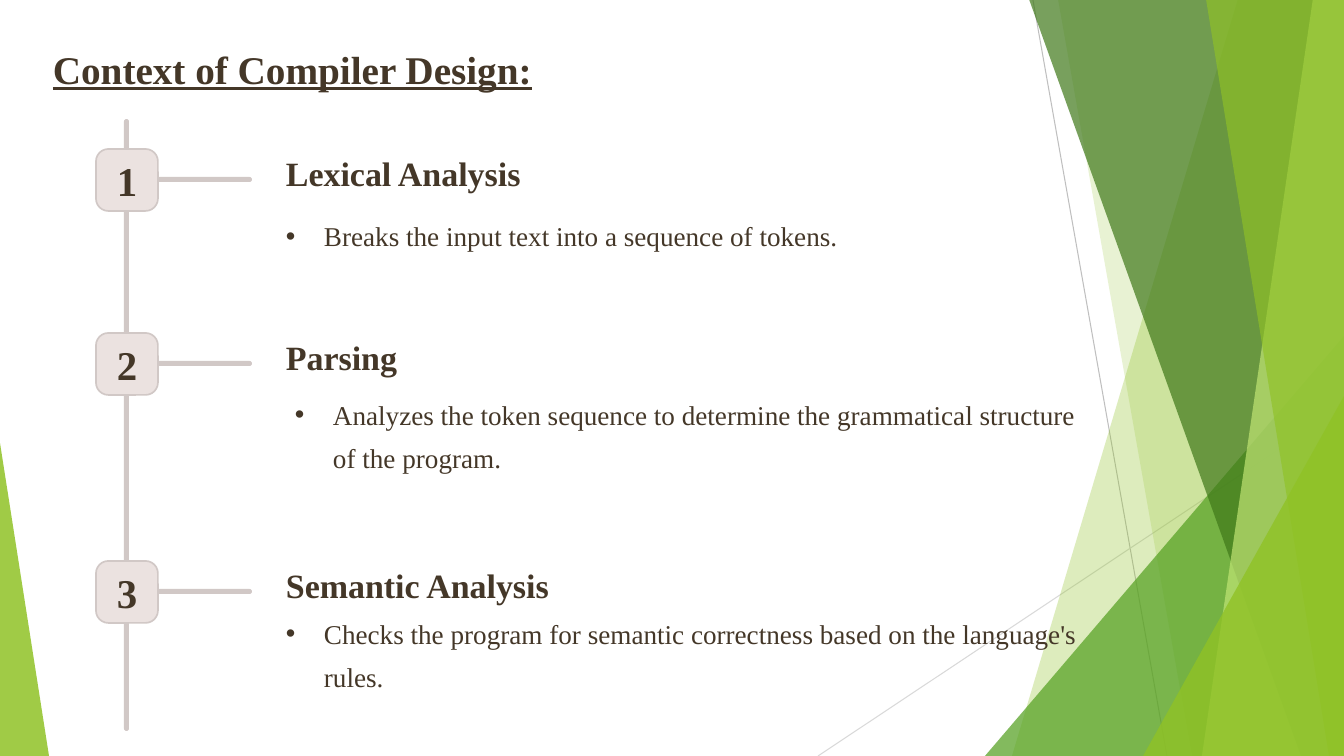
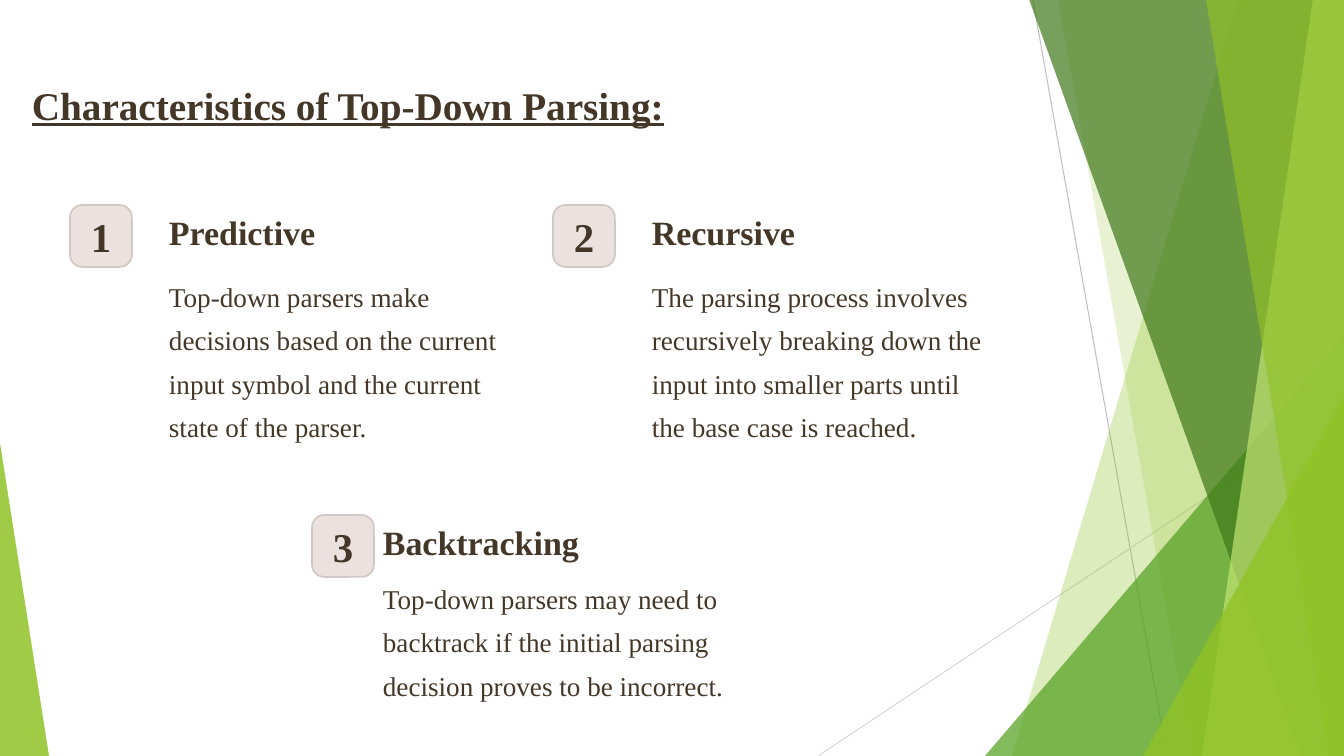
"""Build two slides on compiler design and top-down parsing."""
from lxml import etree
from pptx import Presentation
from pptx.dml.color import RGBColor
from pptx.enum.shapes import MSO_CONNECTOR, MSO_SHAPE
from pptx.enum.text import MSO_ANCHOR, PP_ALIGN
from pptx.oxml.ns import qn
from pptx.util import Emu, Pt

ROUNDED, TRIANGLE = MSO_SHAPE.ROUNDED_RECTANGLE, MSO_SHAPE.RIGHT_TRIANGLE
TRIANGLE = MSO_SHAPE.ISOSCELES_TRIANGLE
STRAIGHT = MSO_CONNECTOR.STRAIGHT
MIDDLE = MSO_ANCHOR.MIDDLE
LEFT, CENTER = PP_ALIGN.LEFT, PP_ALIGN.CENTER

BROWN = RGBColor(0x44, 0x37, 0x28)
BADGE = RGBColor(0xEB, 0xE2, 0xE0)
RAIL = RGBColor(0xD1, 0xC8, 0xC6)
LIME = RGBColor(0x90, 0xC2, 0x26)
PALE_LIME = RGBColor(0xC0, 0xE4, 0x74)
GREEN = RGBColor(0x54, 0xA0, 0x21)
DARK_GREEN = RGBColor(0x3F, 0x78, 0x19)
GREY = RGBColor(0xBF, 0xBF, 0xBF)
LIGHT_GREY = RGBColor(0xD9, 0xD9, 0xD9)

FONT = "Times New Roman"
SCALE = 914400 / 100.8
WIDTH, HEIGHT = 1344, 756
BADGE_SIZE = 62
RAIL_SIZE = 5
BULLET_INDENT = 38

TITLE = {"size": 28, "spacing": 60.8, "bold": True, "underline": True}
NUMBER = {"size": 29.2, "spacing": 29.2, "bold": True, "align": CENTER}
HEADING = {"size": 24.3, "spacing": 30.4, "bold": True}
BODY = {"size": 19.4, "spacing": 31.1}


def px(length):
    """Turn pixels into EMU."""
    return Emu(round(length * SCALE))


def write(shape, text, size, spacing, bold=False, underline=False, align=LEFT):
    """Fill a shape with one styled paragraph and return the paragraph."""
    shape.text_frame.word_wrap = True
    para = shape.text_frame.paragraphs[0]
    para.alignment = align
    para.line_spacing = Pt(spacing)
    span = para.add_run()
    span.text = text
    span.font.name = FONT
    span.font.size = Pt(size)
    span.font.bold = bold
    span.font.underline = underline
    span.font.color.rgb = BROWN
    return para


deck = Presentation()
deck.slide_width, deck.slide_height = px(WIDTH), px(HEIGHT)
blank = deck.slide_layouts[6]
for placeholder in list(blank.placeholders):
    placeholder.element.getparent().remove(placeholder.element)

page_data = [
    {
        "title": ("Context of Compiler Design:", 43, 2, 794),
        "spine": True,
        "body_width": 829,
        "steps": [
            ("Lexical Analysis", "Breaks the input text into a sequence of tokens.",
             (96, 149), (276, 146), (276, 204)),
            ("Parsing", "Analyzes the token sequence to determine the grammatical "
             "structure of the program.", (96, 333), (276, 330), (285, 382)),
            ("Semantic Analysis", "Checks the program for semantic correctness based "
             "on the language's rules.", (96, 561), (276, 558), (276, 601)),
        ],
    },
    {
        "title": ("Characteristics of Top-Down Parsing:", 22, 38, 1062),
        "spine": False,
        "body_width": 368,
        "steps": [
            ("Predictive", "Top-down parsers make decisions based on the current input "
             "symbol and the current state of the parser.",
             (70, 205), (159, 205), (159, 264)),
            ("Recursive", "The parsing process involves recursively breaking down the "
             "input into smaller parts until the base case is reached.",
             (553, 205), (642, 205), (642, 264)),
            ("Backtracking", "Top-down parsers may need to backtrack if the initial "
             "parsing decision proves to be incorrect.",
             (312, 515), (373, 515), (373, 566)),
        ],
    },
]
pages = [deck.slides.add_slide(blank) for _ in page_data]

art = pages[0].shapes
for colour, ends in [(GREY, (1033, 0, 1167, HEIGHT)),
                     (LIGHT_GREY, (WIDTH, 406, 818, HEIGHT))]:
    line = art.add_connector(STRAIGHT, *map(px, ends))
    line.line.color.rgb = colour
    line.line.width = Pt(0.75)
    etree.SubElement(line.element.spPr, qn("a:effectLst"))

facets = [
    ("band", (1238, 1012), LIME, 30),
    ("band", (1058, 1192), LIME, 20),
    ("triangle", (985, 336, 359, 1), GREEN, 72),
    ("band", (1029, 1301), DARK_GREEN, 70),
    ("band", (1313, 1202), PALE_LIME, 70),
    ("band", (1206, 1329), LIME, 65),
    ("triangle", (1143, 396, 201, 1), LIME, 80),
    ("triangle", (0, 443, 49, 0), LIME, 85),
]
for kind, place, colour, opacity in facets:
    if kind == "band":
        top_x, bottom_x = place
        outline = art.build_freeform(top_x, -1, scale=SCALE)
        outline.add_line_segments([(WIDTH, -1), (WIDTH, HEIGHT), (bottom_x, HEIGHT)])
        facet = outline.convert_to_shape()
    else:
        left, top, width, apex = place
        facet = art.add_shape(TRIANGLE, *map(px, (left, top, width, HEIGHT - top)))
        facet.adjustments[0] = apex
    facet.shadow.inherit = False
    facet.line.fill.background()
    facet.fill.solid()
    facet.fill.fore_color.rgb = colour
    tint = facet.element.spPr.find(qn("a:solidFill")).find(qn("a:srgbClr"))
    etree.SubElement(tint, qn("a:alpha"), val=str(opacity * 1000))

for shape in list(art):
    blank.shapes.element.append(shape.element)

for page, data in zip(pages, page_data):
    text, left, top, width = data["title"]
    box = page.shapes.add_textbox(*map(px, (left, top, width, 85)))
    write(box, text, **TITLE)

    if data["spine"]:
        rails = [(124, 119, RAIL_SIZE, 612)]
        for _, _, (left, top), _, _ in data["steps"]:
            rails.append((left + BADGE_SIZE - 1, top + 28, 95, RAIL_SIZE))
        for place in rails:
            rail = page.shapes.add_shape(ROUNDED, *map(px, place))
            rail.adjustments[0] = 0.5
            rail.shadow.inherit = False
            rail.fill.solid()
            rail.fill.fore_color.rgb = RAIL
            rail.line.fill.background()

    for number, step in enumerate(data["steps"], 1):
        heading, body, badge_at, heading_at, body_at = step
        badge = page.shapes.add_shape(
            ROUNDED, *map(px, (*badge_at, BADGE_SIZE, BADGE_SIZE)))
        badge.adjustments[0] = 0.2
        badge.shadow.inherit = False
        badge.fill.solid()
        badge.fill.fore_color.rgb = BADGE
        badge.line.color.rgb = RAIL
        badge.line.width = Pt(1.2)
        frame = badge.text_frame
        frame.vertical_anchor = MIDDLE
        frame.margin_left = frame.margin_right = frame.margin_bottom = 0
        frame.margin_top = px(9)
        write(badge, str(number), **NUMBER)

        box = page.shapes.add_textbox(*map(px, (*heading_at, 341, 42)))
        write(box, heading, **HEADING)

        box = page.shapes.add_textbox(*map(px, (*body_at, data["body_width"], 87)))
        para = write(box, body, **BODY)
        if data["spine"]:
            settings = para._p.get_or_add_pPr()
            settings.set("marL", str(px(BULLET_INDENT)))
            settings.set("indent", str(-px(BULLET_INDENT)))
            etree.SubElement(settings, qn("a:buFont"), typeface="Arial")
            etree.SubElement(settings, qn("a:buChar"), char="•")

deck.save("out.pptx")
